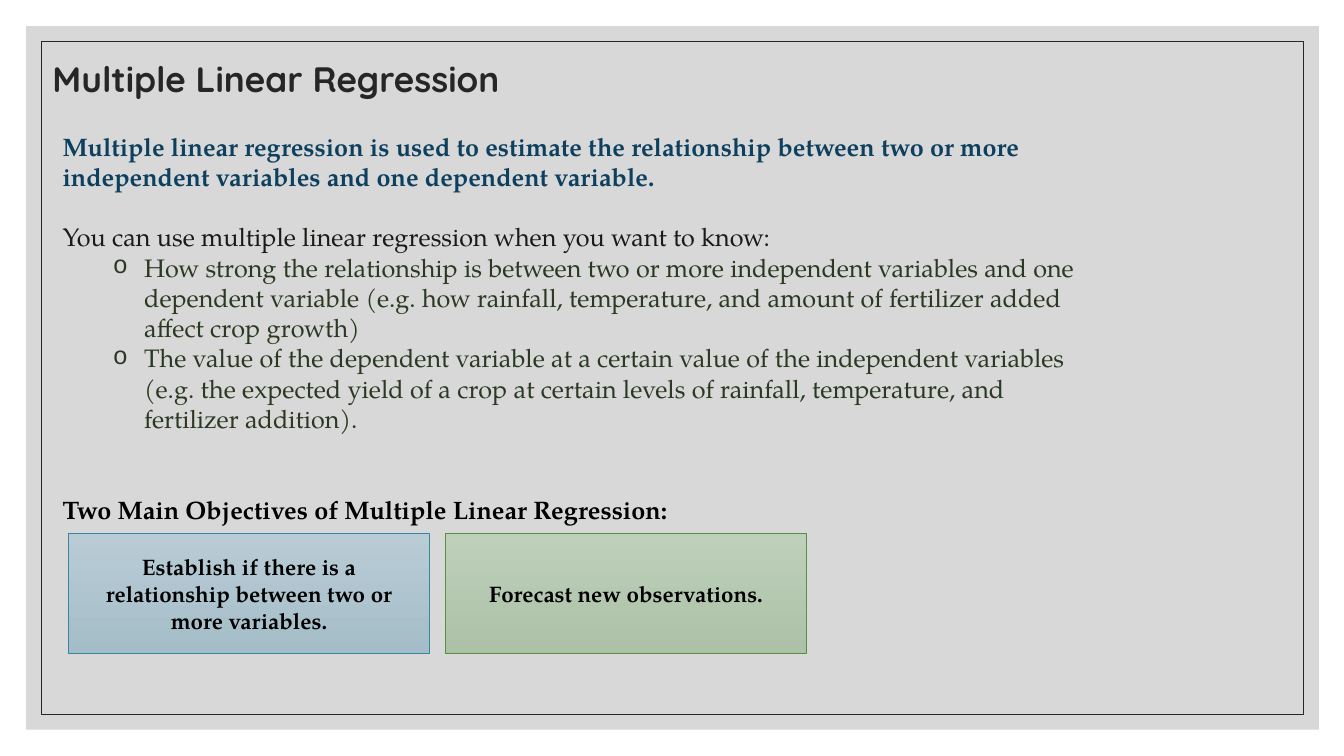
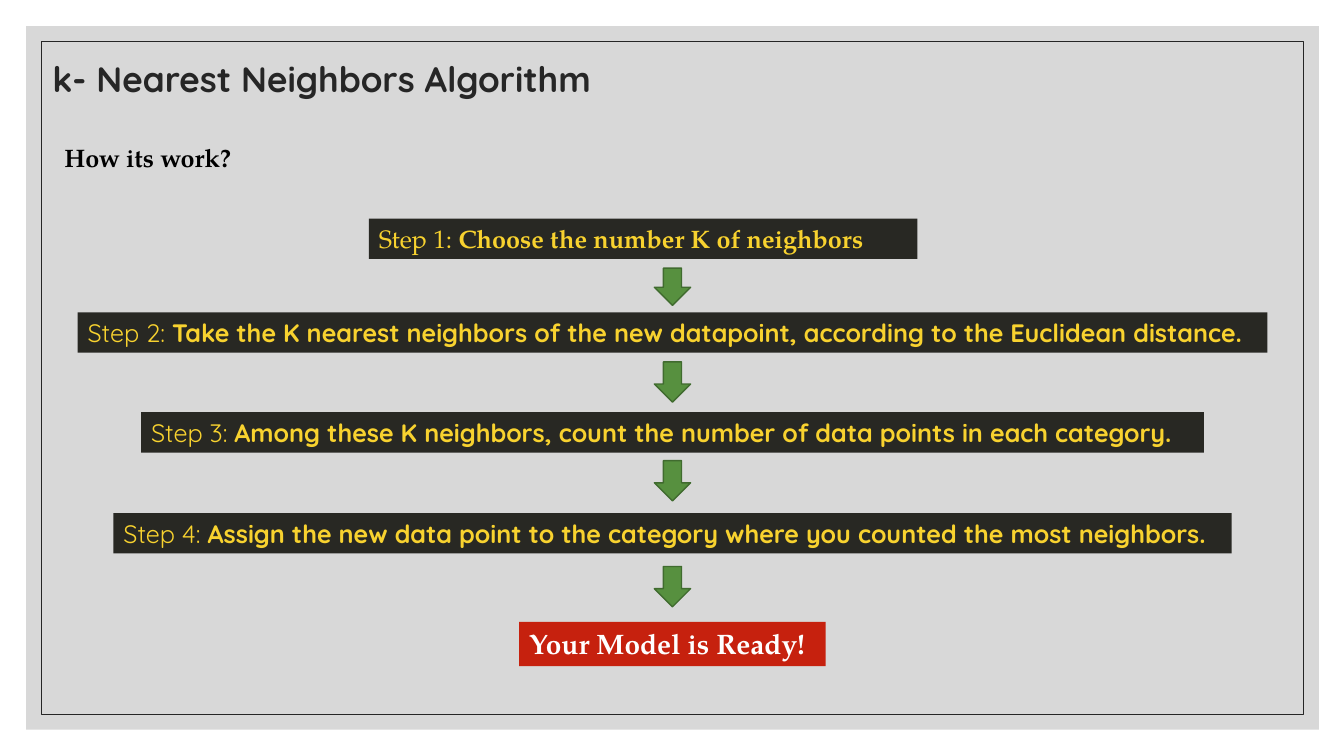
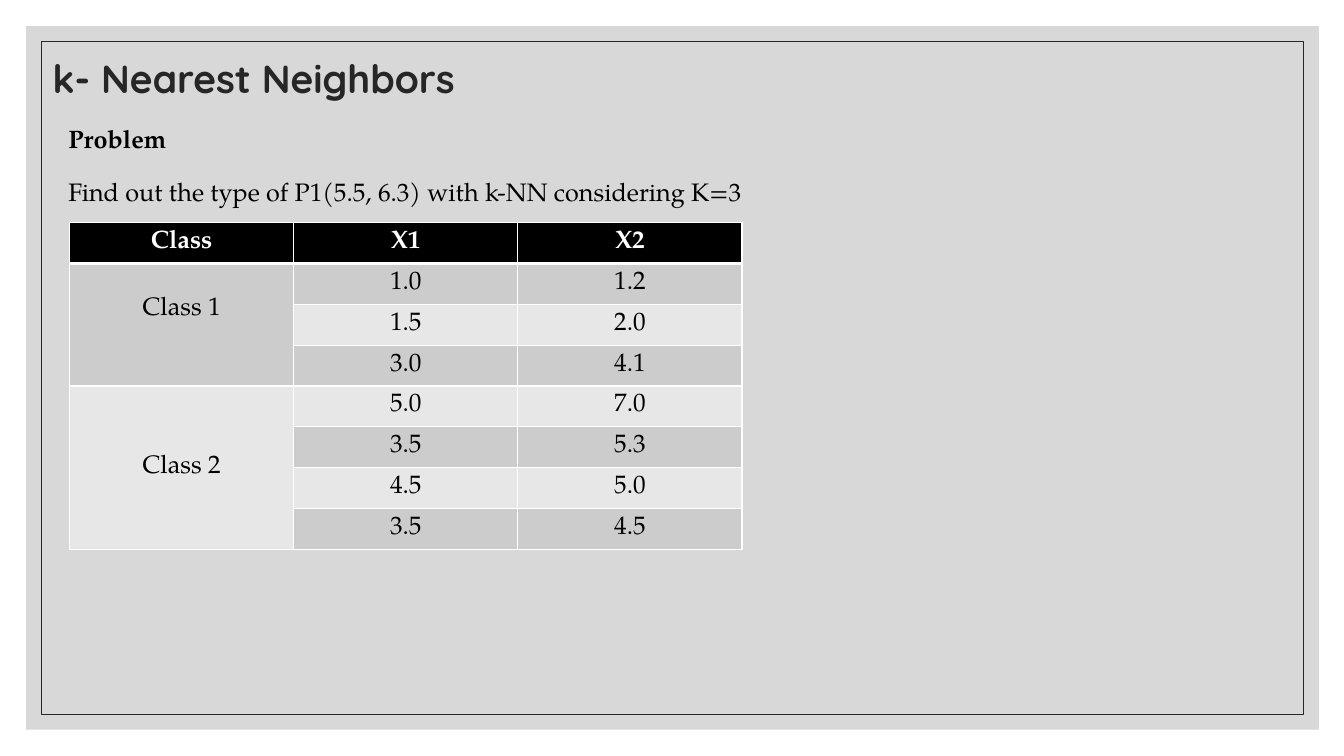
from itertools import groupby

from pptx import Presentation
from pptx import util as u
from pptx.dml.color import RGBColor
from pptx.enum import shapes, text
from pptx.oxml import parse_xml
from pptx.oxml.ns import nsdecls

SERIF, ROUNDED = "TeX Gyre Pagella", "Quicksand"
INK, BLACK, WHITE = "262626", "000000", "FFFFFF"
YELLOW, CHARCOAL, RED = "F8D22F", "282823", "C6210E"
GREEN, DARK_GREEN = "57903F", "406B2F"
LEFT, CENTER = text.PP_ALIGN.LEFT, text.PP_ALIGN.CENTER
RECT, ARROW = shapes.MSO_SHAPE.RECTANGLE, shapes.MSO_SHAPE.DOWN_ARROW


def rgb(color):
    return RGBColor.from_string(color)


def inches(box):
    return [u.Inches(length) for length in box]


def place(part, box):
    part.left, part.top, part.width, part.height = inches(box)


def write(paragraph, words, color, size=18, name=SERIF, bold=False, **layout):
    """Append one run; layout holds paragraph settings."""
    run = paragraph.add_run()
    run.text = words
    for key, value in dict(size=u.Pt(size), name=name, bold=bold).items():
        setattr(run.font, key, value)
    run.font.color.rgb = rgb(color)
    for key, value in layout.items():
        setattr(paragraph, key, value)


def add_preset(slide, kind, box, fill=None, line=None, weight=0.5):
    """fill is one colour, a (top, bottom) pair, or None."""
    shape = slide.shapes.add_shape(kind, *inches(box))
    shape.shadow.inherit = False
    if fill is None:
        shape.fill.background()
    elif isinstance(fill, tuple):
        shape.fill.gradient()
        shape.fill.gradient_angle = 270
        for stop, color in zip(shape.fill.gradient_stops, fill):
            stop.color.rgb = rgb(color)
    else:
        shape.fill.solid()
        shape.fill.fore_color.rgb = rgb(fill)
    if line:
        shape.line.color.rgb = rgb(line)
        shape.line.width = u.Pt(weight)
    else:
        shape.line.fill.background()
    return shape


def add_text(slide, box, words, bold=False):
    frame = slide.shapes.add_textbox(*inches(box)).text_frame
    frame.word_wrap = True
    write(frame.paragraphs[0], words, BLACK, bold=bold)


def add_background(prs, slide):
    """Draw the grey panel and thin frame, then move them to the master."""
    panel = add_preset(slide, RECT, (0.26, 0.26, 12.82, 6.98), "BFBFBF")
    tint = panel.fill._xPr.find(".//{*}srgbClr")
    tint.append(parse_xml(f'<a:alpha {nsdecls("a")} val="60000"/>'))
    frame = add_preset(slide, RECT, (0.41, 0.41, 12.52, 6.68), line=INK)
    tree = prs.slide_master.element.cSld.spTree
    for position, part in enumerate((panel, frame), 2):
        tree.insert(position, part.element)


def set_title(slide, words, width, size=25.2):
    title = slide.shapes.title
    place(title, (0.42, 0.43, width, 0.75))
    frame = title.text_frame
    frame.auto_size = text.MSO_AUTO_SIZE.NONE
    frame.vertical_anchor = text.MSO_ANCHOR.MIDDLE
    write(frame.paragraphs[0], words, INK, size, ROUNDED, True,
          alignment=LEFT, line_spacing=0.9)


def set_bullet(paragraph, bulleted):
    props = paragraph._p.get_or_add_pPr()
    margin, indent = (0.81, -0.31) if bulleted else (0, 0)
    props.set("marL", str(u.Inches(margin)))
    props.set("indent", str(u.Inches(indent)))
    marks = ('<a:buFont {} typeface="Courier New"/>', '<a:buChar {} char="o"/>')
    for mark in marks if bulleted else ('<a:buNone {}/>',):
        props.append(parse_xml(mark.format(nsdecls("a"))))


def fill_body(slide, box, items):
    """items: (words, colour, bold, bulleted, space before in points)."""
    body = slide.placeholders[1]
    place(body, box)
    frame = body.text_frame
    frame.auto_size = text.MSO_AUTO_SIZE.NONE
    for number, (words, color, bold, bulleted, gap) in enumerate(items):
        paragraph = frame.add_paragraph() if number else frame.paragraphs[0]
        write(paragraph, words, color, bold=bold,
              level=int(bulleted), space_before=u.Pt(gap))
        set_bullet(paragraph, bulleted)


def add_objectives(slide, box, objectives, gap=0.16):
    left, top, width, height = box
    box_width = (width - gap * (len(objectives) - 1)) / len(objectives)
    for column, (words, fill, line) in enumerate(objectives):
        objective = add_preset(
            slide, RECT,
            (left + column * (box_width + gap), top, box_width, height), fill, line)
        frame = objective.text_frame
        frame.vertical_anchor = text.MSO_ANCHOR.MIDDLE
        write(frame.paragraphs[0], words, BLACK, 16, bold=True, alignment=CENTER)


def add_bar(slide, center, top, width, height, fill, runs):
    """runs: keyword sets for write, one for each run."""
    bar = add_preset(slide, RECT, (center - width / 2, top, width, height), fill)
    bar.text_frame.vertical_anchor = text.MSO_ANCHOR.TOP
    for run in runs:
        write(bar.text_frame.paragraphs[0], alignment=LEFT, **run)


def add_steps(slide, center, steps):
    """steps: (words, font, shift, top, width, arrow top, arrow height)."""
    for number, (words, font, shift, top, width, tip, drop) in enumerate(steps, 1):
        look = dict(color=YELLOW, name=font)
        add_bar(slide, center + shift, top, width, 0.4, CHARCOAL, [
            dict(words=f"Step {number}: ", **look),
            dict(words=words, bold=True, **look)])
        add_preset(slide, ARROW, (center - 0.18, tip, 0.36, drop),
                   GREEN, DARK_GREEN, 1)


def set_borders(cell, **weights):
    props = cell._tc.get_or_add_tcPr()
    for side in "LRTB":
        width = u.Pt(weights.get(side, 1))
        props.append(parse_xml(
            f'<a:ln{side} {nsdecls("a")} w="{width}"><a:solidFill>'
            f'<a:srgbClr val="{WHITE}"/></a:solidFill></a:ln{side}>'))


def add_class_table(slide, box, header, points):
    """Merge the first column over neighbouring rows of one class."""
    rows = [header] + points
    table = slide.shapes.add_table(len(rows), len(header), *inches(box)).table
    for r, row in enumerate(rows):
        fill = ("E7E7E7", "CCCCCC")[r % 2] if r else BLACK
        for c, words in enumerate(row):
            cell = table.cell(r, c)
            set_borders(cell, B=1 if r else 3, T=3 if r == 1 else 1)
            cell.fill.solid()
            cell.fill.fore_color.rgb = rgb(fill)
            cell.vertical_anchor = text.MSO_ANCHOR.MIDDLE
            if c or words != rows[r - 1][0]:
                write(cell.text_frame.paragraphs[0], words,
                      BLACK if r else WHITE, bold=r == 0, alignment=CENTER)
    first = 1
    for _, members in groupby(points, key=lambda point: point[0]):
        last = first + len(list(members)) - 1
        table.cell(first, 0).merge(table.cell(last, 0))
        first = last + 1
    table.cell(1, 0).margin_bottom = u.Inches(0.35)


def build_regression(slide):
    set_title(slide, "Multiple Linear Regression", 4.66)
    fill_body(slide, (0.52, 1.25, 10.54, 4.04), [
        ("Multiple linear regression is used to estimate the relationship between "
         "two or more independent variables and one dependent variable.",
         "0D405F", True, False, 0),
        ("You can use multiple linear regression when you want to know:",
         "181B16", False, False, 21.6),
        ("How strong the relationship is between two or more independent variables "
         "and one dependent variable (e.g. how rainfall, temperature, and amount of "
         "fertilizer added affect crop growth)", "2B3922", False, True, 0),
        ("The value of the dependent variable at a certain value of the independent "
         "variables (e.g. the expected yield of a crop at certain levels of rainfall, "
         "temperature, and fertilizer addition).", "2B3922", False, True, 0),
        ("Two Main Objectives of Multiple Linear Regression:",
         BLACK, True, False, 43.2),
    ])
    add_objectives(slide, (0.68, 5.29, 7.32, 1.19), [
        ("Establish if there is a relationship between two or more variables.",
         ("B9CCD5", "A5BDC8"), "3488A0"),
        ("Forecast new observations.", ("BECFBA", "ACC1A7"), GREEN),
    ])


def build_algorithm(slide):
    center = 6.67
    set_title(slide, "k- Nearest Neighbors Algorithm", 5.57)
    add_text(slide, (0.54, 1.36, 5.44, 0.4), "How its work?", True)
    add_steps(slide, center, [
        ("Choose the number K of neighbors",
         SERIF, -0.29, 2.17, 5.44, 2.66, 0.37),
        ("Take the K nearest neighbors of the new datapoint, "
         "according to the Euclidean distance.",
         ROUNDED, 0, 3.1, 11.8, 3.59, 0.4),
        ("Among these K neighbors, count the number of data points in each category.",
         ROUNDED, 0, 4.09, 10.54, 4.57, 0.4),
        ("Assign the new data point to the category where you counted "
         "the most neighbors.",
         ROUNDED, 0, 5.09, 11.09, 5.62, 0.4),
    ])
    add_bar(slide, center, 6.17, 3.04, 0.44, RED, [
        dict(words="Your Model is Ready!", color=WHITE, size=20, bold=True)])


def build_problem(slide):
    set_title(slide, "k- Nearest Neighbors", 4.44, 28)
    add_text(slide, (0.58, 1.17, 2.75, 0.4), "Problem", True)
    add_text(slide, (0.58, 1.7, 8.7, 0.4),
             "Find out the type of P1(5.5, 6.3) with k-NN considering K=3")
    add_class_table(slide, (0.69, 2.21, 6.67, 3.24), ("Class", "X1", "X2"), [
        ("Class 1", "1.0", "1.2"),
        ("Class 1", "1.5", "2.0"),
        ("Class 1", "3.0", "4.1"),
        ("Class 2", "5.0", "7.0"),
        ("Class 2", "3.5", "5.3"),
        ("Class 2", "4.5", "5.0"),
        ("Class 2", "3.5", "4.5"),
    ])


def main():
    prs = Presentation()
    prs.slide_width, prs.slide_height = inches((13.33, 7.5))
    title_and_content, title_only = prs.slide_layouts[1], prs.slide_layouts[5]
    pages = [(title_and_content, build_regression),
             (title_only, build_algorithm),
             (title_only, build_problem)]
    for number, (layout, build) in enumerate(pages):
        slide = prs.slides.add_slide(layout)
        if number == 0:
            add_background(prs, slide)
        build(slide)
    prs.save("out.pptx")


if __name__ == "__main__":
    main()
